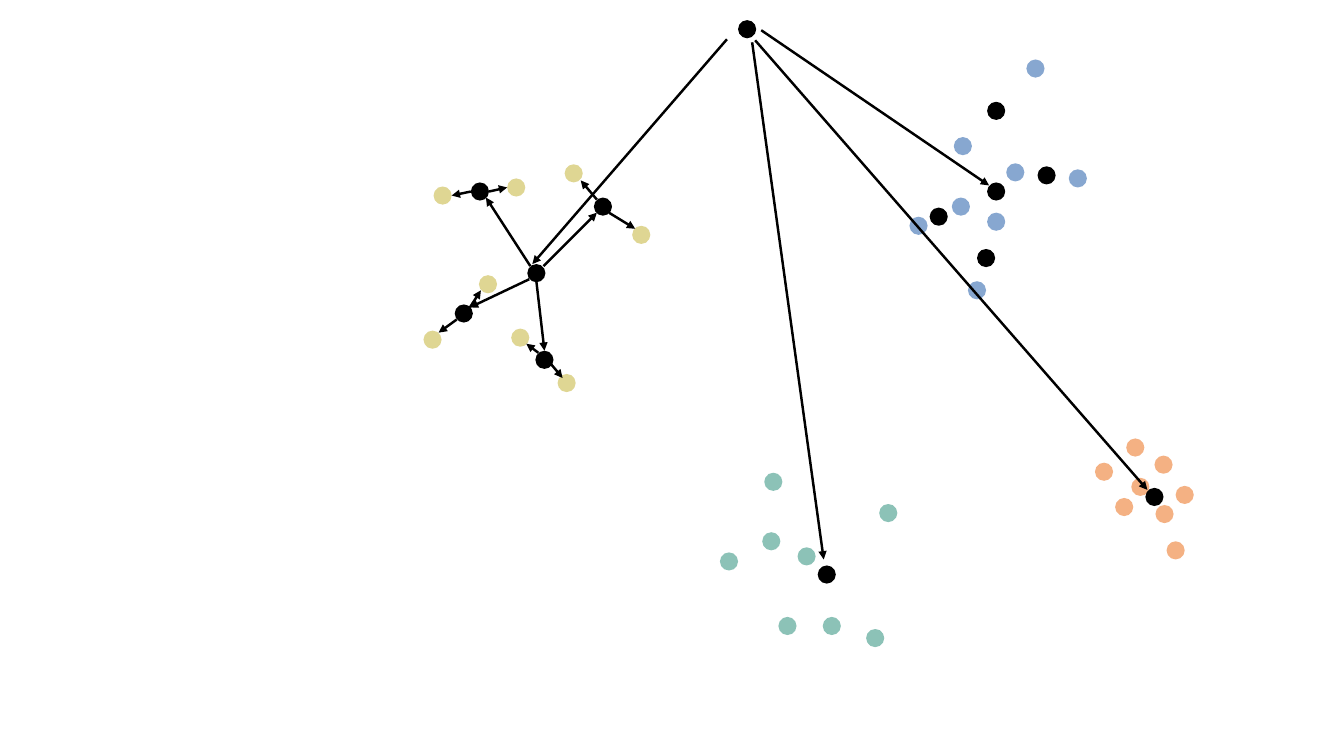
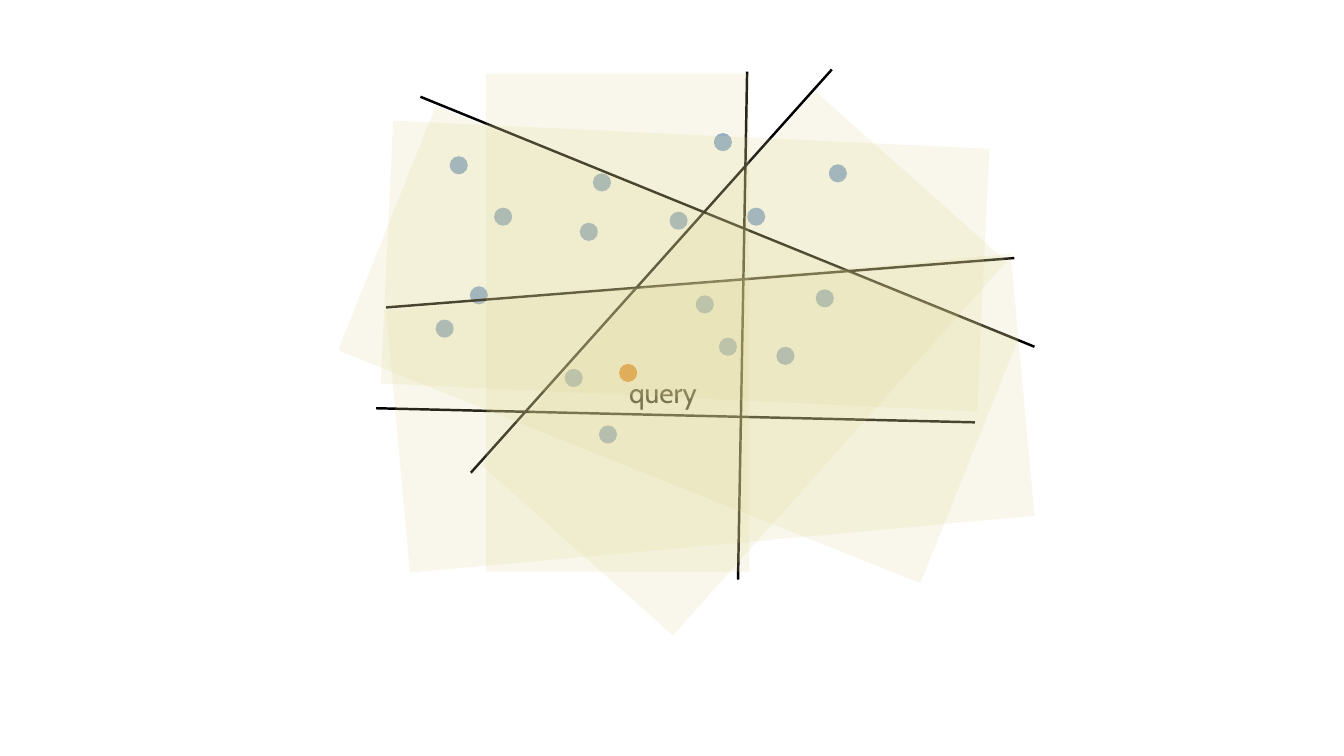
from lxml import etree
from pptx import Presentation
from pptx.enum import shapes, text
from pptx.dml.color import RGBColor
from pptx.oxml import ns
from pptx.util import Inches, Pt

COLORS = {
    "ink": "000000",
    "sand": "DFD693",
    "blue": "87A7D0",
    "teal": "8CC2B7",
    "peach": "F4B183",
    "query": "E76D00",
}
FONT = "Cabin"
DOT = 0.18
LINE_WIDTH = 1.75
ROOT = (7.32, 0.2)

CLUSTERS = [
    {
        "origin": (4.2, 1.63),
        "color": "sand",
        "points": [(1.4, 0), (0.55, 1.1), (0.83, 0.14), (0, 1.65),
                   (1.33, 2.08), (2.07, 0.61), (0.1, 0.22), (0.87, 1.63)],
        "hubs": [(1.03, 0.99), (0.47, 0.18), (1.69, 0.33), (1.11, 1.85), (0.31, 1.39)],
        "arrows": [
            (1.05, 1.14, 0.46, 1.42), (1.12, 1.16, 1.2, 1.85),
            (1.19, 1.01, 1.72, 0.48), (1.06, 1.01, 0.62, 0.33),
            (0.47, 0.27, 0.28, 0.31), (0.65, 0.27, 0.83, 0.23),
            (0.33, 1.54, 0.15, 1.67), (0.46, 1.42, 0.57, 1.25),
            (1.14, 1.87, 1.02, 1.78), (1.23, 1.94, 1.38, 2.12),
            (1.84, 0.48, 2.1, 0.64), (1.72, 0.35, 1.56, 0.16),
        ],
    },
    {
        "origin": (9.02, 0.59),
        "color": "blue",
        "points": [(0.44, 0.77), (0.77, 1.52), (0.58, 2.2), (0.96, 1.03),
                   (0.42, 1.37), (1.16, 0), (1.58, 1.09), (0, 1.56)],
        "hubs": [(0.77, 1.22), (0.77, 0.42), (1.27, 1.06), (0.67, 1.88), (0.2, 1.47)],
    },
    {
        "origin": (7.14, 4.69),
        "color": "teal",
        "points": [(0.44, 0), (0.77, 0.74), (0.58, 1.43), (1.02, 1.43),
                   (0.42, 0.59), (1.45, 1.55), (1.58, 0.31), (0, 0.79)],
        "hubs": [(0.97, 0.92)],
    },
    {
        "origin": (10.86, 4.35),
        "color": "peach",
        "points": [(0.31, 0), (0.36, 0.39), (0.71, 1.02), (0.6, 0.66),
                   (0, 0.24), (0.8, 0.47), (0.59, 0.17), (0.2, 0.59)],
        "hubs": [(0.5, 0.49)],
    },
]
ROOT_ARROWS = [(7.21, 0.39, 5.28, 2.62), (7.46, 0.42, 8.17, 5.55),
               (7.49, 0.4, 11.38, 4.86), (7.55, 0.3, 9.81, 1.84)]

SPACE_ORIGIN = (3.73, 0.69)
SPACE_POINTS = [
    (2.15, 1.03), (3.35, 0.63), (3.68, 1.37), (1.87, 2.97),
    (3.17, 2.24), (3.97, 2.75), (0.93, 2.15), (1.17, 1.37),
    (0.59, 2.48), (2.21, 3.53), (3.4, 2.66), (4.36, 2.18),
    (4.49, 0.94), (2.91, 1.41), (2.02, 1.52), (0.73, 0.86),
]
HYPERPLANES = [(4.52, 0, 0.94, 4), (6.53, 2.75, 0.44, 0.27), (6.33, 1.87, 0.1, 2.36),
               (3.59, 5.06, 3.68, 0.02), (5.94, 3.5, 0, 3.36)]
HALF_SPACES = [
    (2.38, 0.43, 2.54, 4.97, 41.7),
    (2.01, 0.3, 2.61, 6.22, 84.8),
    (1.69, -0.38, 2.61, 6.22, 111.8),
    (1.09, 0.04, 2.61, 4.94, 180),
    (1.76, -1.01, 2.61, 5.92, 272.7),
]


def color_of(name):
    """Return the named colour."""
    return RGBColor.from_string(COLORS[name])


def add_filled(slide, kind, box, color, alpha=None, rotation=0):
    """Add a borderless preset shape, optionally see-through and rotated."""
    shape = slide.shapes.add_shape(kind, *map(Inches, box))
    shape.shadow.inherit = False
    shape.rotation = rotation
    shape.line.fill.background()
    shape.fill.solid()
    shape.fill.fore_color.rgb = color_of(color)
    if alpha is not None:
        fill_color = shape.element.spPr.find(ns.qn("a:solidFill"))[0]
        etree.SubElement(fill_color, ns.qn("a:alpha"), val=str(alpha * 1000))
    return shape


def add_dots(slide, origin, offsets, color):
    """Add one dot for each offset from the origin."""
    for x, y in offsets:
        box = (origin[0] + x, origin[1] + y, DOT, DOT)
        add_filled(slide, shapes.MSO_SHAPE.OVAL, box, color)


def add_lines(slide, origin, segments, arrow=False):
    """Add straight lines given as offsets from the origin."""
    left, top = origin
    for x1, y1, x2, y2 in segments:
        ends = map(Inches, (left + x1, top + y1, left + x2, top + y2))
        connector = slide.shapes.add_connector(shapes.MSO_CONNECTOR.STRAIGHT, *ends)
        connector.line.color.rgb = color_of("ink")
        connector.line.width = Pt(LINE_WIDTH)
        if arrow:
            line = connector.line._get_or_add_ln()
            etree.SubElement(line, ns.qn("a:tailEnd"), type="triangle")
        etree.SubElement(connector.element.spPr, ns.qn("a:effectLst"))


def add_text(slide, words, box, size=20, color="ink", font=FONT):
    """Add a text box with one formatted run."""
    frame = slide.shapes.add_textbox(*map(Inches, box)).text_frame
    frame.word_wrap = True
    frame.auto_size = text.MSO_AUTO_SIZE.SHAPE_TO_FIT_TEXT
    run = frame.paragraphs[0].add_run()
    run.text = words
    run.font.size = Pt(size)
    run.font.name = font
    run.font.color.rgb = color_of(color)


def draw_cluster(slide, origin, color, points, hubs, arrows=()):
    """Draw a cluster of points with its hubs and the arrows between them."""
    add_dots(slide, origin, points, color)
    add_dots(slide, origin, hubs, "ink")
    add_lines(slide, origin, arrows, arrow=True)


def draw_tree(slide):
    """Draw the root and the clusters it leads to."""
    for cluster in CLUSTERS:
        draw_cluster(slide, **cluster)
    add_dots(slide, ROOT, [(0, 0)], "ink")
    add_lines(slide, (0, 0), ROOT_ARROWS, arrow=True)


def draw_partition(slide, origin):
    """Draw points split by lines, with the half-spaces that hold the query."""
    left, top = origin
    add_dots(slide, origin, SPACE_POINTS, "blue")
    add_lines(slide, origin, HYPERPLANES)
    add_dots(slide, origin, [(2.41, 2.92)], "query")
    add_text(slide, "query", (left + 2.41, top + 2.99, 1.82, 0.44))
    for x, y, width, height, rotation in HALF_SPACES:
        add_filled(slide, shapes.MSO_SHAPE.RECTANGLE, (left + x, top + y, width, height),
                   "sand", alpha=18, rotation=rotation)


def main():
    """Build and save the presentation."""
    presentation = Presentation()
    presentation.slide_width = Inches(13.33)
    presentation.slide_height = Inches(7.5)
    blank = presentation.slide_layouts[6]
    draw_tree(presentation.slides.add_slide(blank))
    draw_partition(presentation.slides.add_slide(blank), SPACE_ORIGIN)
    presentation.save("out.pptx")


if __name__ == "__main__":
    main()
